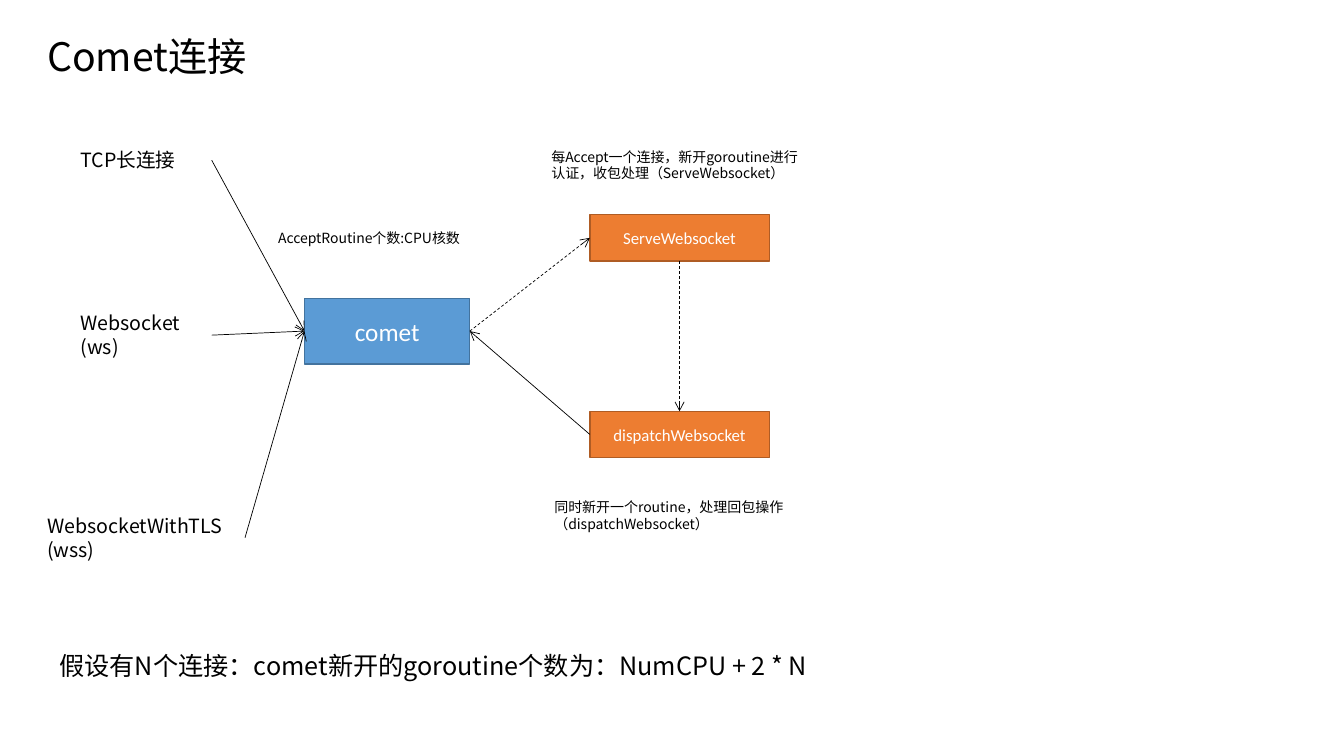
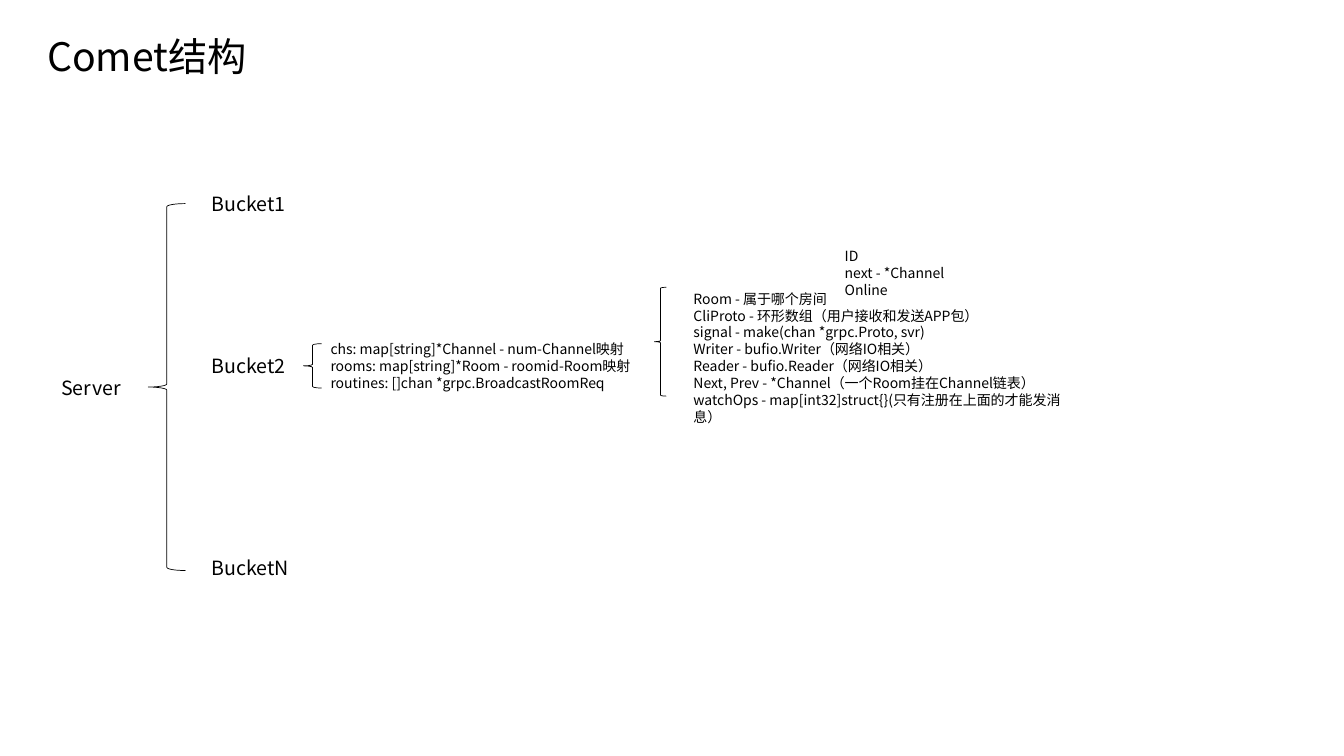
from lxml import etree
from pptx import Presentation
from pptx.dml.color import RGBColor
from pptx.enum.dml import MSO_LINE
from pptx.enum.shapes import MSO_CONNECTOR, MSO_SHAPE
from pptx.enum.text import MSO_ANCHOR, MSO_AUTO_SIZE, PP_ALIGN
from pptx.oxml.ns import qn
from pptx.util import Emu, Pt

RECTANGLE, LEFT_BRACE = MSO_SHAPE.RECTANGLE, MSO_SHAPE.LEFT_BRACE
STRAIGHT = MSO_CONNECTOR.STRAIGHT
DASH = MSO_LINE.DASH
CENTER, MIDDLE = PP_ALIGN.CENTER, MSO_ANCHOR.MIDDLE
GROW = MSO_AUTO_SIZE.SHAPE_TO_FIT_TEXT
TOP, LEFT, BOTTOM, RIGHT = range(4)  # connection sites of a rectangle

EMU_PER_PX = 9144  # 100 px to the inch
BODY_FONT, NODE_FONT = "Noto Sans CJK JP", "Calibri"
BLACK, WHITE = "000000", "FFFFFF"
BLUE, BLUE_EDGE = "5B9BD5", "43739E"
ORANGE, ORANGE_EDGE = "ED7D31", "AF5C24"
TITLE_SIZE, LARGE_SIZE, LABEL_SIZE, NODE_SIZE, NOTE_SIZE = 28, 18, 14, 12, 10


def px(length):
    return Emu(length * EMU_PER_PX)


def rgb(color):
    return RGBColor.from_string(color)


def write_text(frame, text, size=LABEL_SIZE, font=BODY_FONT, color=BLACK, align=None):
    """Fill a text frame, one paragraph for each line of the text."""
    frame.word_wrap = True
    for index, line in enumerate(text.split("\n")):
        paragraph = frame.paragraphs[0] if index == 0 else frame.add_paragraph()
        paragraph.alignment = align
        run = paragraph.add_run()
        run.text = line
        run.font.size = Pt(size)
        run.font.color.rgb = rgb(color)
        run.font.name = font
        east_asian = etree.SubElement(run.font._element, qn("a:ea"))
        east_asian.set("typeface", font)


class Deck:
    """Holds the presentation, its shared style and the current slide."""

    def __init__(self):
        self.presentation = Presentation()
        self.presentation.slide_width = px(1333)
        self.presentation.slide_height = px(750)
        self.slide = None

    def new_slide(self, title):
        blank = self.presentation.slide_layouts[6]
        self.slide = self.presentation.slides.add_slide(blank)
        self.label(title, 37, 27, 372, 57, size=TITLE_SIZE)

    def label(self, text, left, top, width, height, **text_format):
        box = self.slide.shapes.add_textbox(px(left), px(top), px(width), px(height))
        write_text(box.text_frame, text, **text_format)
        box.text_frame.auto_size = GROW
        return box

    def outline(self, kind, left, top, width, height, color, weight):
        """Add an unfilled preset shape."""
        shape = self.slide.shapes.add_shape(
            kind, px(left), px(top), px(width), px(height))
        shape.shadow.inherit = False
        shape.fill.background()
        shape.line.color.rgb = rgb(color)
        shape.line.width = Pt(weight)
        return shape

    def node(self, text, left, top, width, height, fill, edge, size=NODE_SIZE):
        box = self.outline(RECTANGLE, left, top, width, height, edge, 1)
        box.fill.solid()
        box.fill.fore_color.rgb = rgb(fill)
        box.text_frame.vertical_anchor = MIDDLE
        write_text(box.text_frame, text, size=size, font=NODE_FONT,
                   color=WHITE, align=CENTER)
        return box

    def brace(self, left, top, width, height):
        self.outline(LEFT_BRACE, left, top, width, height, BLACK, 0.5)

    def arrow(self, source, source_site, target, target_site, dash=None):
        """Join two shapes with an arrow glued to their connection sites."""
        connector = self.slide.shapes.add_connector(STRAIGHT, 0, 0, 0, 0)
        connector.begin_connect(source, source_site)
        connector.end_connect(target, target_site)
        connector.line.color.rgb = rgb(BLACK)
        connector.line.width = Pt(0.5)
        if dash:
            connector.line.dash_style = dash
        head = etree.SubElement(connector.line._get_or_add_ln(), qn("a:tailEnd"))
        head.set("type", "arrow")
        etree.SubElement(connector._element.spPr, qn("a:effectLst"))

    def save(self):
        self.presentation.save("out.pptx")


def build_connections(deck):
    deck.new_slide("Comet连接")
    comet = deck.node("comet", 302, 296, 164, 65, BLUE, BLUE_EDGE, size=LARGE_SIZE)

    clients = [
        ("TCP长连接", 70, 142, 140, 34),
        ("Websocket\n(ws)", 70, 304, 140, 57),
        ("WebsocketWithTLS\n(wss)", 37, 505, 206, 57),
    ]
    for client in clients:
        deck.arrow(deck.label(*client), RIGHT, comet, LEFT)

    serve, dispatch = [
        deck.node(name, 585, top, 178, 46, ORANGE, ORANGE_EDGE)
        for name, top in (("ServeWebsocket", 213), ("dispatchWebsocket", 408))
    ]
    deck.arrow(comet, RIGHT, serve, LEFT, dash=DASH)
    deck.arrow(serve, BOTTOM, dispatch, TOP, dash=DASH)
    deck.arrow(dispatch, LEFT, comet, RIGHT)

    notes = [
        ("AcceptRoutine个数:CPU核数", 266, 223, 274, 27),
        ("每Accept一个连接，新开goroutine进行认证，收包处理（ServeWebsocket）",
         537, 142, 274, 44),
        ("同时新开一个routine，处理回包操作（dispatchWebsocket）", 540, 490, 274, 44),
    ]
    for note in notes:
        deck.label(*note, size=NOTE_SIZE)
    deck.label("假设有N个连接：comet新开的goroutine个数为：NumCPU + 2 * N",
               49, 640, 1037, 40, size=LARGE_SIZE)


def build_structure(deck):
    deck.new_slide("Comet结构")
    deck.label("Server", 51, 368, 80, 34)
    for bucket, top in (("Bucket1", 186), ("Bucket2", 346), ("BucketN", 547)):
        deck.label(bucket, 200, top, 101, 34)

    braces = [(147, 202, 37, 364), (301, 341, 18, 44), (649, 285, 12, 108)]
    for brace in braces:
        deck.brace(*brace)

    bucket_fields = """chs: map[string]*Channel - num-Channel映射
rooms: map[string]*Room - roomid-Room映射
routines: []chan *grpc.BroadcastRoomReq"""
    channel_fields = """Room - 属于哪个房间
CliProto - 环形数组（用户接收和发送APP包）
signal - make(chan *grpc.Proto, svr)
Writer - bufio.Writer（网络IO相关）
Reader - bufio.Reader（网络IO相关）
Next, Prev - *Channel（一个Room挂在Channel链表）
watchOps - map[int32]struct{}(只有注册在上面的才能发消息）"""
    room_fields = "ID\nnext - *Channel\nOnline"
    deck.label(bucket_fields, 318, 333, 360, 60, size=NOTE_SIZE)
    deck.label(channel_fields, 678, 283, 407, 128, size=NOTE_SIZE)
    deck.label(room_fields, 828, 241, 407, 60, size=NOTE_SIZE)


def main():
    deck = Deck()
    build_connections(deck)
    build_structure(deck)
    deck.save()


if __name__ == "__main__":
    main()
